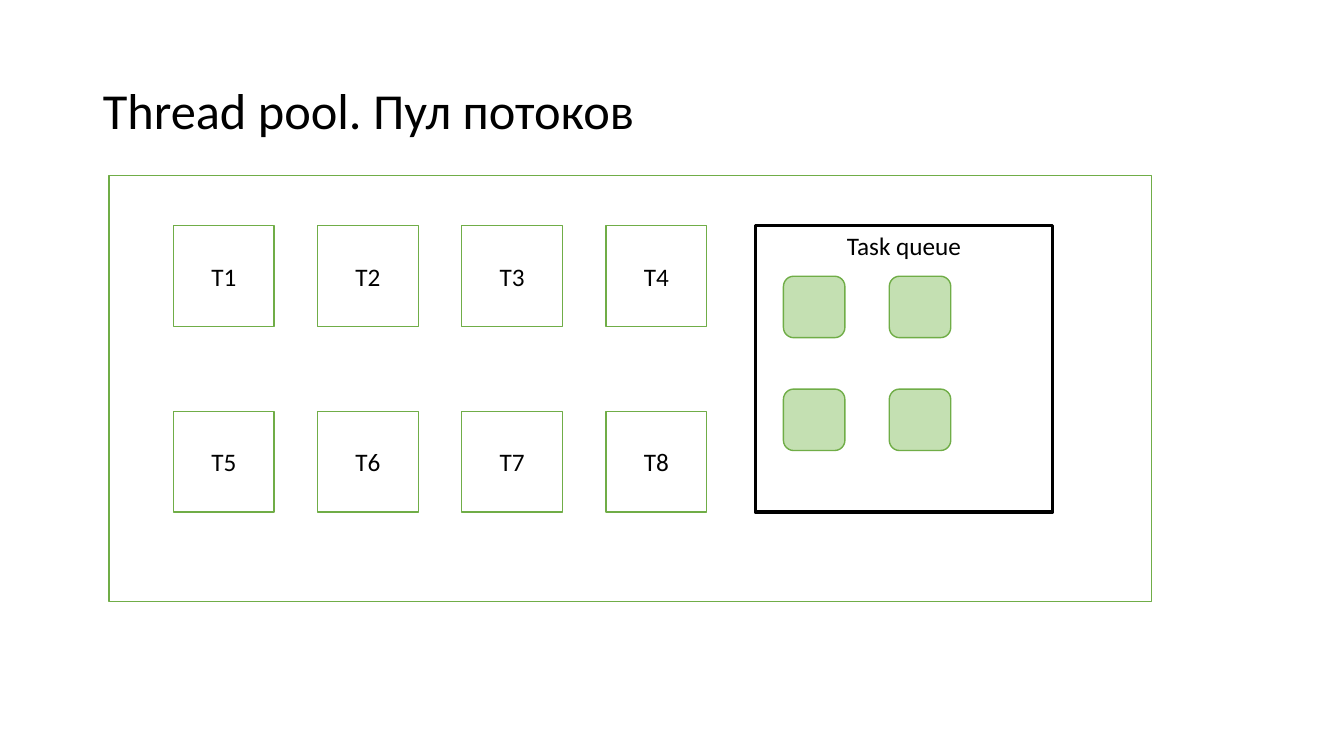
"""Builds the thread pool slide."""
from pptx import Presentation
from pptx.dml.color import RGBColor
from pptx.enum.shapes import MSO_SHAPE
from pptx.enum.text import MSO_ANCHOR, PP_ALIGN
from pptx.util import Inches, Pt

RECT, ROUNDED = MSO_SHAPE.RECTANGLE, MSO_SHAPE.ROUNDED_RECTANGLE
TOP, MIDDLE = MSO_ANCHOR.TOP, MSO_ANCHOR.MIDDLE
LEFT, CENTER = PP_ALIGN.LEFT, PP_ALIGN.CENTER


def rgb(value):
    """Turn a hex string into a colour."""
    return RGBColor.from_string(value)


class SlideBuilder:
    """Hold the style and the current slide."""

    font, black, white, green, light_green = "Calibri", "000000", "FFFFFF", "70AD47", "C4E0B2"

    def __init__(self, prs):
        """Add a title-only slide."""
        self.s = prs.slides.add_slide(prs.slide_layouts[5])

    def label(self, sp, text, size, align, anchor):
        """Put one formatted run into a shape."""
        tf = sp.text_frame
        tf.word_wrap = True
        tf.vertical_anchor = anchor
        p = tf.paragraphs[0]
        p.alignment = align
        r = p.add_run()
        r.text = text
        r.font.name, r.font.size = self.font, Pt(size)
        r.font.color.rgb = rgb(self.black)
        return p

    def title(self, text, x, y, w, h):
        """Place and fill the title placeholder."""
        sp = self.s.shapes.title
        sp.left, sp.top, sp.width, sp.height = map(Inches, (x, y, w, h))
        p = self.label(sp, text, 36, LEFT, MIDDLE)
        p.line_spacing = 0.9

    def box(self, x, y, w, h, text="", kind=RECT, fill=white, line=green, weight=1, anchor=MIDDLE):
        """Add an outlined shape with an optional label."""
        sp = self.s.shapes.add_shape(kind, *map(Inches, (x, y, w, h)))
        sp.shadow.inherit = False
        sp.fill.solid()
        sp.fill.fore_color.rgb = rgb(fill)
        sp.line.color.rgb = rgb(line)
        sp.line.width = Pt(weight)
        if text:
            self.label(sp, text, 18, CENTER, anchor)

    def task(self, x, y):
        """Add one queued task."""
        self.box(x, y, 0.61, 0.61, kind=ROUNDED, fill=self.light_green)


def main():
    """Build and save the slide."""
    prs = Presentation()
    prs.slide_width, prs.slide_height = Inches(13.33), Inches(7.5)
    b = SlideBuilder(prs)
    b.title("Thread pool. Пул потоков", 0.92, 0.4, 11.5, 1.45)
    b.box(1.08, 1.74, 10.34, 4.23)
    for i in range(8):
        row, col = divmod(i, 4)
        b.box(1.72 + 1.43 * col, 2.24 + 1.84 * row, 1, 1, f"T{i + 1}")
    b.box(7.49, 2.24, 2.95, 2.84, "Task queue", line=b.black, weight=2.25, anchor=TOP)
    for row in range(2):
        for col in range(2):
            b.task(7.77 + 1.05 * col, 2.74 + 1.12 * row)
    prs.save("out.pptx")


if __name__ == "__main__":
    main()
